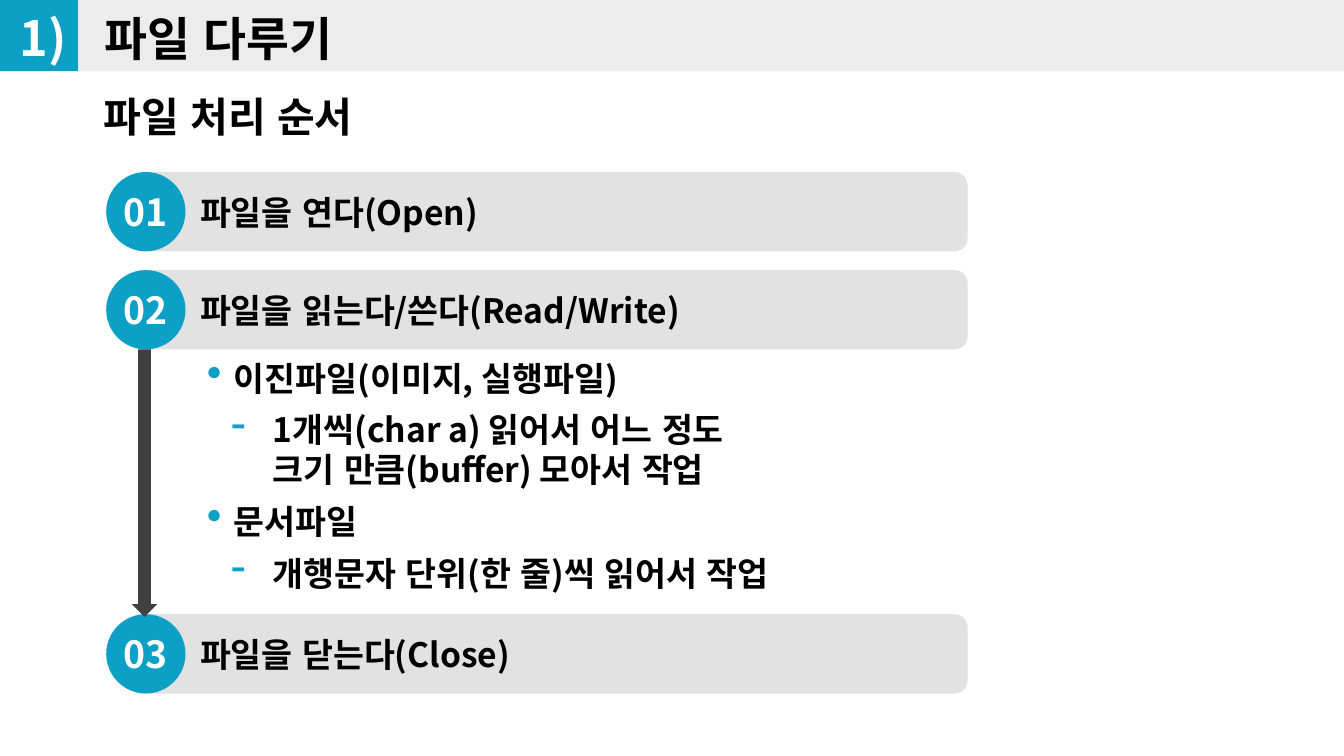
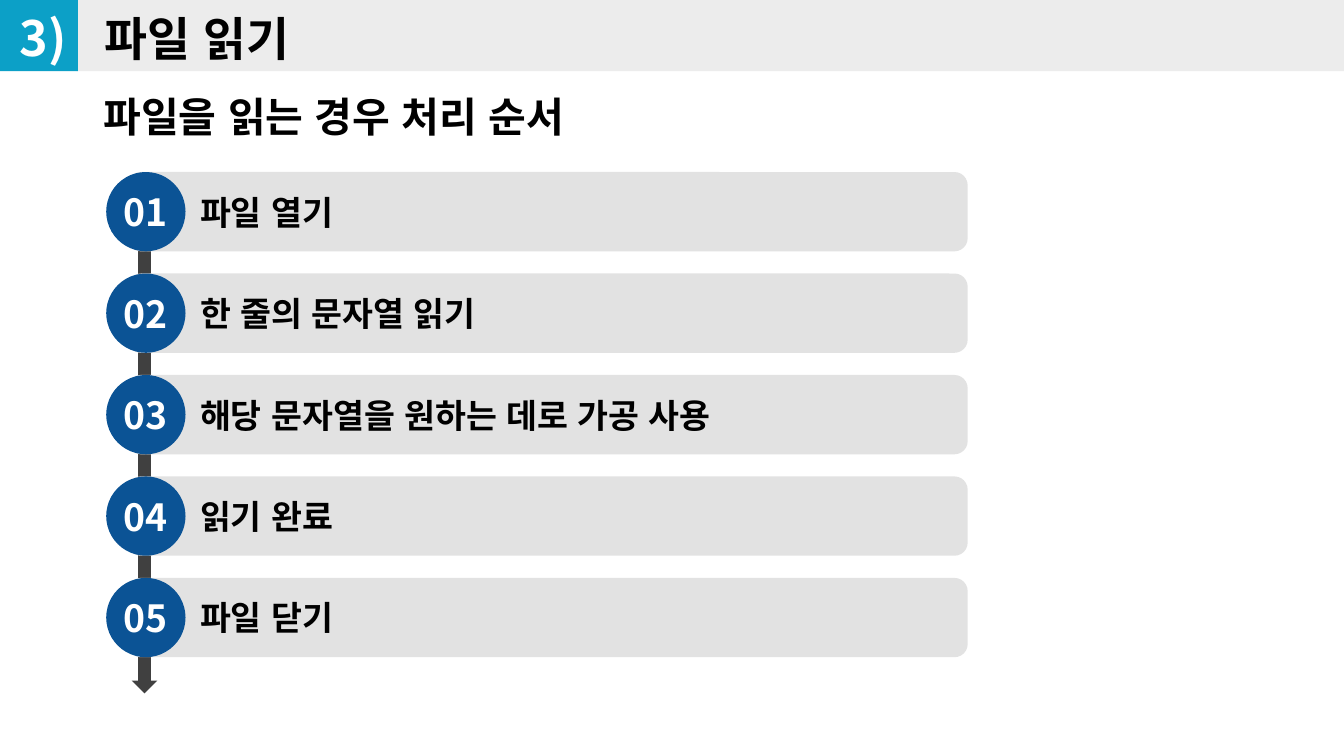
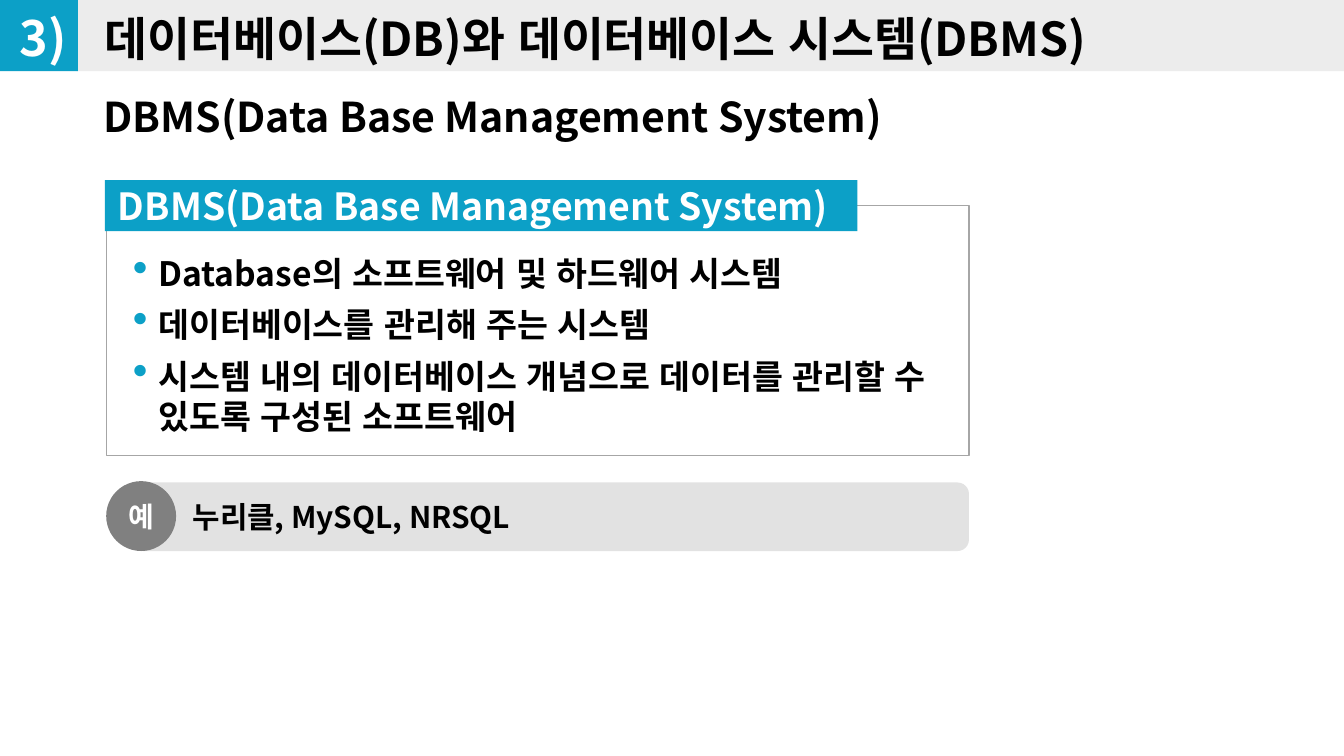
from lxml import etree
from pptx import Presentation
from pptx import util as u
from pptx.dml.color import RGBColor
from pptx.enum import lang, shapes, text
from pptx.oxml import ns

TEAL = RGBColor(0x0C, 0xA0, 0xC7)
NAVY = RGBColor(0x0B, 0x53, 0x95)
BAND = RGBColor(0xEC, 0xEC, 0xEC)
BAR = RGBColor(0xE2, 0xE2, 0xE2)
DARK = RGBColor(0x40, 0x40, 0x40)
GRAY = RGBColor(0x80, 0x80, 0x80)
FRAME = RGBColor(0xA6, 0xA6, 0xA6)
WHITE = RGBColor(0xFF, 0xFF, 0xFF)
BLACK = RGBColor(0, 0, 0)
FONT = "Noto Sans CJK KR"
INSET = (0.14, 0.07, 0.14, 0.07)
MID, TOP = text.MSO_ANCHOR.MIDDLE, text.MSO_ANCHOR.TOP
LEFT, CENTER = text.PP_ALIGN.LEFT, text.PP_ALIGN.CENTER
SHAPE = shapes.MSO_SHAPE


def add_shape(s, kind, box, fill, line=None):
    sp = s.shapes.add_shape(kind, *map(u.Inches, box))
    sp.shadow.inherit = False
    sp.fill.solid()
    sp.fill.fore_color.rgb = fill
    if line is None:
        sp.line.fill.background()
    else:
        sp.line.color.rgb = line
        sp.line.width = u.Pt(0.75)
    return sp


def write(sp, *lines, size=18, color=BLACK, align=LEFT, anchor=MID,
          inset=(0.1, 0.05, 0.1, 0.05), wrap=True, bullets=None):
    tf = sp.text_frame
    tf.word_wrap = wrap
    tf.vertical_anchor = anchor
    tf.margin_left, tf.margin_top, tf.margin_right, tf.margin_bottom = map(u.Inches, inset)
    for i, line in enumerate(lines):
        p = tf.add_paragraph() if i else tf.paragraphs[0]
        p.text = line
        p.alignment = align
        if i:
            p.space_before = u.Pt(6)
        if bullets:
            char, margin, indent = bullets[i]
            pPr = p._p.get_or_add_pPr()
            pPr.set("marL", str(u.Inches(margin)))
            pPr.set("indent", str(u.Inches(indent)))
            clr = etree.SubElement(pPr, ns.qn("a:buClr"))
            etree.SubElement(clr, ns.qn("a:srgbClr"), val=str(TEAL))
            etree.SubElement(pPr, ns.qn("a:buSzPct"), val="130000")
            etree.SubElement(pPr, ns.qn("a:buChar"), char=char)
        for r in p.runs:
            r.font.language_id = lang.MSO_LANGUAGE_ID.KOREAN
            r.font.name = FONT
            r.font.size = u.Pt(size)
            r.font.bold = True
            r.font.color.rgb = color
            etree.SubElement(r.font._element, ns.qn("a:ea"), typeface=FONT)


prs = Presentation()
prs.slide_width = u.Inches(10)
prs.slide_height = prs.slide_width * 9 // 16

headers = [
    ("1)", "파일 다루기", "파일 처리 순서"),
    ("3)", "파일 읽기", "파일을 읽는 경우 처리 순서"),
    ("3)", "데이터베이스(DB)와 데이터베이스 시스템(DBMS)", "DBMS(Data Base Management System)"),
]
for number, title, subtitle in headers:
    s = prs.slides.add_slide(prs.slide_layouts[6])
    add_shape(s, SHAPE.RECTANGLE, (0.57, -0.01, 9.43, 0.54), BAND)
    add_shape(s, SHAPE.RECTANGLE, (-0.01, -0.01, 0.59, 0.54), TEAL)
    for label, box, size, color, align in [
        (title, (0.64, 0, 8.92, 0.56), 25, BLACK, LEFT),
        (number, (-0.01, -0.01, 0.66, 0.58), 26, WHITE, CENTER),
        (subtitle, (0.63, 0.61, 6.5, 0.51), 22, BLACK, LEFT),
    ]:
        sp = s.shapes.add_textbox(*map(u.Inches, box))
        write(sp, label, size=size, color=color, align=align, anchor=TOP, inset=INSET)

handling, reading, dbms = prs.slides

add_shape(reading, SHAPE.DOWN_ARROW, (0.98, 1.86, 0.19, 3.3), DARK)

handling_steps = [
    (1.28, "파일을 연다(Open)"),
    (2.01, "파일을 읽는다/쓴다(Read/Write)"),
    (4.57, "파일을 닫는다(Close)"),
]
reading_labels = ["파일 열기", "한 줄의 문자열 읽기", "해당 문자열을 원하는 데로 가공 사용", "읽기 완료", "파일 닫기"]
reading_steps = [(1.28 + 3.02 / 4 * i, label) for i, label in enumerate(reading_labels)]

for s, steps, color in [(handling, handling_steps, TEAL), (reading, reading_steps, NAVY)]:
    for n, (top, label) in enumerate(steps, 1):
        sp = add_shape(s, SHAPE.ROUNDED_RECTANGLE, (0.95, top, 6.25, 0.59), BAR)
        write(sp, label, inset=(0.51, 0.05, 0.1, 0.05))
        sp = add_shape(s, SHAPE.OVAL, (0.79, top, 0.59, 0.59), color)
        write(sp, f"{n:02}", size=20, color=WHITE, align=CENTER, wrap=False)

dot, dash = ("•", 0.2, -0.2), ("-", 0.49, -0.31)
sp = handling.shapes.add_textbox(*map(u.Inches, (1.54, 2.59, 5.63, 1.91)))
write(sp, "이진파일(이미지, 실행파일)",
      "1개씩(char a) 읽어서 어느 정도 \n크기 만큼(buffer) 모아서 작업",
      "문서파일", "개행문자 단위(한 줄)씩 읽어서 작업",
      anchor=TOP, inset=(0, 0.07, 0.14, 0.07), bullets=[dot, dash, dot, dash])
add_shape(handling, SHAPE.DOWN_ARROW, (0.98, 2.6, 0.19, 1.99), DARK)

sp = add_shape(dbms, SHAPE.RECTANGLE, (0.79, 1.53, 6.42, 1.86), WHITE, line=FRAME)
write(sp, "Database의 소프트웨어 및 하드웨어 시스템",
      "데이터베이스를 관리해 주는 시스템",
      "시스템 내의 데이터베이스 개념으로 데이터를 관리할 수 있도록 구성된 소프트웨어",
      anchor=TOP, inset=(0.1, 0.35, 0.1, 0.05), bullets=[("•", 0.29, -0.19)] * 3)
sp = add_shape(dbms, SHAPE.RECTANGLE, (0.78, 1.34, 5.6, 0.38), TEAL)
write(sp, "DBMS(Data Base Management System)", size=20, color=WHITE)
sp = add_shape(dbms, SHAPE.ROUNDED_RECTANGLE, (0.98, 3.59, 6.23, 0.51), BAR)
write(sp, "누리클, MySQL, NRSQL", size=16, inset=(0.43, 0.05, 0.1, 0.05))
sp = add_shape(dbms, SHAPE.OVAL, (0.79, 3.58, 0.52, 0.52), GRAY)
write(sp, "예", size=15, color=WHITE, align=CENTER, inset=(0, 0.05, 0, 0.05), wrap=False)

prs.save("out.pptx")
